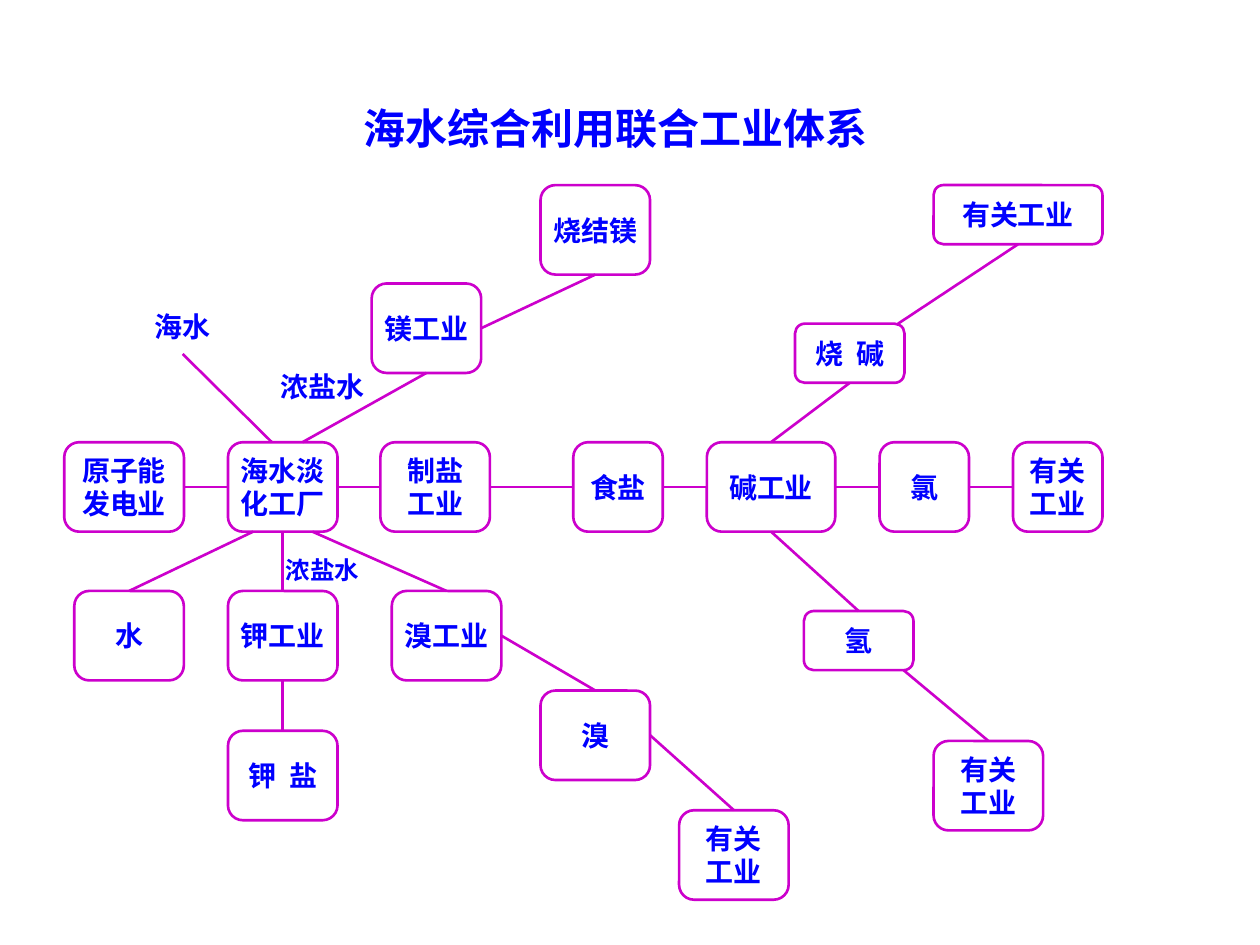
"""Build a slide charting the combined industries that make use of seawater."""
from lxml.etree import SubElement
from pptx import Presentation
from pptx.dml.color import RGBColor
from pptx.enum.shapes import MSO_CONNECTOR, MSO_SHAPE
from pptx.enum.text import MSO_ANCHOR, MSO_AUTO_SIZE, PP_ALIGN
from pptx.oxml.ns import qn
from pptx.util import Pt

BLUE = RGBColor(0x00, 0x00, 0xFF)
MAGENTA = RGBColor(0xCC, 0x00, 0xCC)
FONT = "Arial"
LINE_WIDTH = 1.5
WIDTH, TALL, LOW = 62.6, 51.1, 33.8
MAIN_ROW, LOWER_ROW = 252.7, 337.7

TITLE = "海水综合利用联合工业体系"
TITLE_AREA = (59.8, 54.7, 583.9, 36)

BOXES = {
    "nuclear power": ("原子能\n发电业", 36.7, MAIN_ROW, 68.4, TALL),
    "desalination": ("海水淡\n化工厂", 130.3, MAIN_ROW, WIDTH, TALL),
    "salt making": ("制盐\n工业", 217.4, MAIN_ROW, WIDTH, TALL),
    "table salt": ("食盐", 327.6, MAIN_ROW, TALL, TALL),
    "alkali industry": ("碱工业", 403.9, MAIN_ROW, 73.4, TALL),
    "chlorine": ("氯", 502.6, MAIN_ROW, TALL, TALL),
    "chlorine users": ("有关\n工业", 578.9, MAIN_ROW, TALL, TALL),
    "magnesium industry": ("镁工业", 212.4, 162, WIDTH, TALL),
    "sintered magnesium": ("烧结镁", 308.9, 105.8, WIDTH, TALL),
    "caustic soda": ("烧  碱", 454.3, 185, WIDTH, LOW),
    "soda users": ("有关工业", 533.5, 105.8, 96.5, LOW),
    "potassium industry": ("钾工业", 130.3, LOWER_ROW, WIDTH, TALL),
    "potassium salt": ("钾  盐", 130.3, 417.6, WIDTH, TALL),
    "water": ("水", 42.5, LOWER_ROW, WIDTH, TALL),
    "bromine industry": ("溴工业", 223.9, LOWER_ROW, WIDTH, TALL),
    "hydrogen": ("氢", 459.4, 349.2, WIDTH, LOW),
    "hydrogen users": ("有关\n工业", 533.5, 423.4, WIDTH, TALL),
    "bromine": ("溴", 308.9, 394.6, WIDTH, TALL),
    "bromine users": ("有关\n工业", 388.1, 463, WIDTH, TALL),
}

LABELS = {
    "seawater": ("海水", 64.8, 173.5, 79.2, 28.8, 16),
    "lower brine": ("浓盐水", 144.7, 313.9, 79.2, 24.5, 14),
    "upper brine": ("浓盐水", 144.7, 207.4, 79.2, 26.6, 16),
}

LEFT, RIGHT, TOP, BOTTOM = (0, 0.5), (1, 0.5), (0.5, 0), (0.5, 1)
MAIN_CHAIN = ["nuclear power", "desalination", "salt making", "table salt",
              "alkali industry", "chlorine", "chlorine users"]
BRANCHES = [
    ("desalination", BOTTOM, "potassium industry", TOP),
    ("potassium industry", BOTTOM, "potassium salt", TOP),
    ("desalination", (0.77, 1), "bromine industry", TOP),
    ("desalination", (0.23, 1), "water", TOP),
    ("desalination", (0.68, 0), "magnesium industry", BOTTOM),
    ("magnesium industry", RIGHT, "sintered magnesium", BOTTOM),
    ("desalination", (0.4, 0), "seawater", BOTTOM),
    ("bromine industry", RIGHT, "bromine", TOP),
    ("bromine", RIGHT, "bromine users", TOP),
    ("alkali industry", BOTTOM, "hydrogen", TOP),
    ("hydrogen", (0.91, 1), "hydrogen users", TOP),
    ("alkali industry", TOP, "caustic soda", BOTTOM),
    ("caustic soda", (0.94, 0), "soda users", BOTTOM),
]


def write(shape, text, size, anchor, wrap):
    frame = shape.text_frame
    frame.text = text
    frame.auto_size = MSO_AUTO_SIZE.NONE
    frame.vertical_anchor = anchor
    frame.word_wrap = wrap
    for paragraph in frame.paragraphs:
        paragraph.alignment = PP_ALIGN.CENTER
        for run in paragraph.runs:
            run.font.name = FONT
            run.font.size = Pt(size)
            run.font.bold = True
            run.font.color.rgb = BLUE


def add_title(slide):
    title = slide.shapes.title
    title.left, title.top, title.width, title.height = map(Pt, TITLE_AREA)
    write(title, TITLE, 24, MSO_ANCHOR.TOP, True)


def add_box(slide, text, *area):
    box = slide.shapes.add_shape(MSO_SHAPE.ROUNDED_RECTANGLE, *map(Pt, area))
    box.shadow.inherit = False
    box.fill.background()
    box.line.color.rgb = MAGENTA
    box.line.width = Pt(LINE_WIDTH)
    write(box, text, 16, MSO_ANCHOR.MIDDLE, False)


def add_label(slide, text, left, top, width, height, size):
    label = slide.shapes.add_textbox(*map(Pt, (left, top, width, height)))
    write(label, text, size, MSO_ANCHOR.TOP, True)


def point_on(name, fraction):
    left, top, width, height = {**BOXES, **LABELS}[name][1:5]
    return Pt(left + fraction[0] * width), Pt(top + fraction[1] * height)


def add_link(slide, source, start, target, end):
    connector = slide.shapes.add_connector(
        MSO_CONNECTOR.STRAIGHT, *point_on(source, start), *point_on(target, end))
    connector.line.color.rgb = MAGENTA
    connector.line.width = Pt(LINE_WIDTH)
    SubElement(connector._element.spPr, qn("a:effectLst"))


def main():
    presentation = Presentation()
    presentation.slide_width, presentation.slide_height = Pt(720), Pt(540)
    slide = presentation.slides.add_slide(presentation.slide_layouts[5])
    add_title(slide)
    for box in BOXES.values():
        add_box(slide, *box)
    chain = [(source, RIGHT, target, LEFT)
             for source, target in zip(MAIN_CHAIN, MAIN_CHAIN[1:])]
    for link in chain + BRANCHES:
        add_link(slide, *link)
    for label in LABELS.values():
        add_label(slide, *label)
    presentation.save("out.pptx")


if __name__ == "__main__":
    main()
